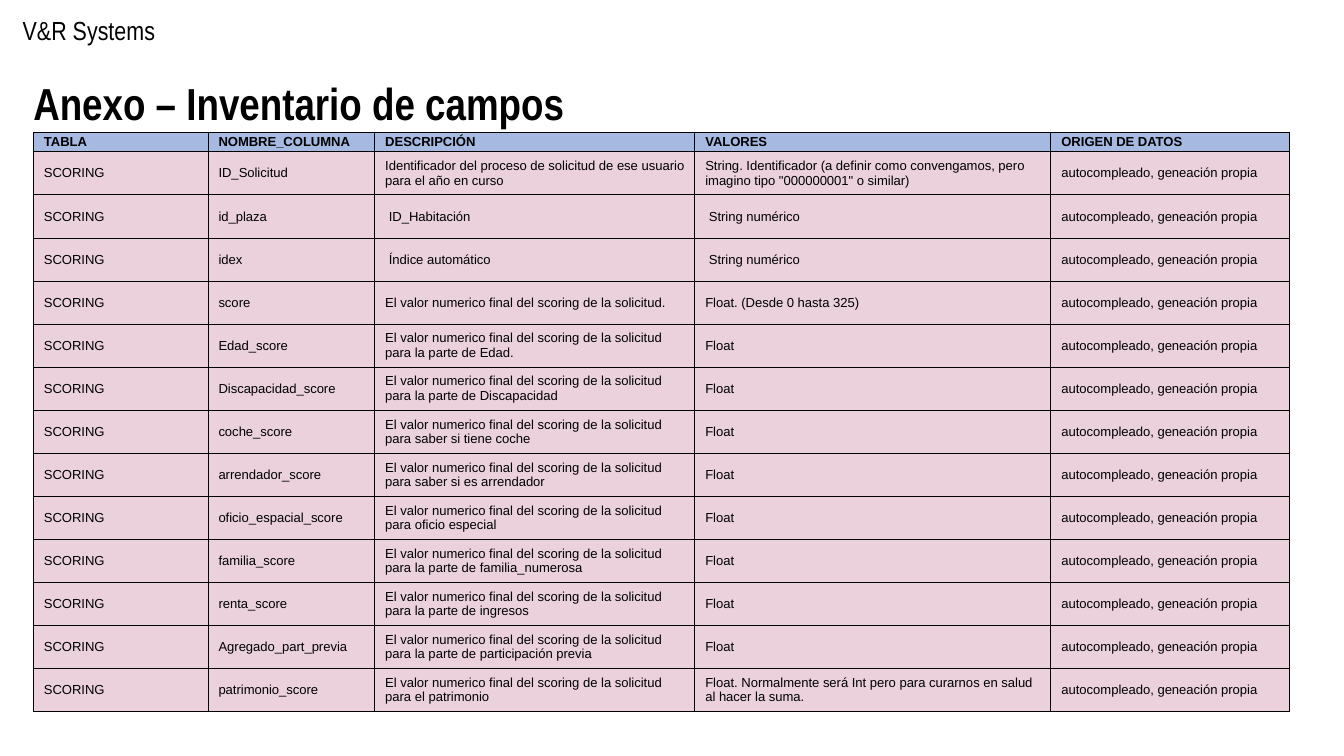
from pptx import Presentation
from pptx.dml.color import RGBColor
from pptx.enum import text as t
from pptx.oxml import parse_xml
from pptx.oxml.ns import nsdecls
from pptx.util import Cm, Pt

HEADINGS = ["TABLA", "NOMBRE_COLUMNA", "DESCRIPCIÓN", "VALORES", "ORIGEN DE DATOS"]
FINAL_SCORE = "El valor numerico final del scoring de la solicitud"
FIELDS = [
    ("ID_Solicitud", "Identificador del proceso de solicitud de ese usuario para el año en curso",
     'String. Identificador (a definir como convengamos, pero imagino tipo "000000001" o similar)'),
    ("id_plaza", " ID_Habitación", " String numérico"),
    ("idex", " Índice automático", " String numérico"),
    ("score", f"{FINAL_SCORE}.", "Float. (Desde 0 hasta 325)"),
    ("Edad_score", f"{FINAL_SCORE} para la parte de Edad.", "Float"),
    ("Discapacidad_score", f"{FINAL_SCORE} para la parte de Discapacidad", "Float"),
    ("coche_score", f"{FINAL_SCORE} para saber si tiene coche", "Float"),
    ("arrendador_score", f"{FINAL_SCORE} para saber si es arrendador", "Float"),
    ("oficio_espacial_score", f"{FINAL_SCORE} para oficio especial", "Float"),
    ("familia_score", f"{FINAL_SCORE} para la parte de familia_numerosa", "Float"),
    ("renta_score", f"{FINAL_SCORE} para la parte de ingresos", "Float"),
    ("Agregado_part_previa", f"{FINAL_SCORE} para la parte de participación previa", "Float"),
    ("patrimonio_score", f"{FINAL_SCORE} para el patrimonio",
     "Float. Normalmente será Int pero para curarnos en salud al hacer la suma."),
]
COLUMN_WIDTHS = [3.3, 3.15, 6.05, 6.73, 4.5]
HEADING_HEIGHT = 0.36


def color(hex_code):
    """Turn a hex string into a colour."""
    return RGBColor.from_string(hex_code)


def style(paragraph, size, face, bold=False):
    """Set the font of a left-aligned black paragraph."""
    paragraph.alignment = t.PP_ALIGN.LEFT
    font = paragraph.font
    font.size, font.name, font.bold = Pt(size), face, bold
    font.color.rgb = color("000000")


def add_brand(slide, left, top, width, height):
    """Place the company name above the title."""
    brand = slide.shapes.add_textbox(Cm(left), Cm(top), Cm(width), Cm(height)).text_frame
    brand.word_wrap = True
    brand.vertical_anchor = t.MSO_ANCHOR.MIDDLE
    brand.text = "V&R Systems"
    style(brand.paragraphs[0], 14, "Arial Narrow")


def place_title(slide, left, top, width, height):
    """Move and fill the title placeholder."""
    title = slide.shapes.title
    title.left, title.top, title.width, title.height = map(Cm, (left, top, width, height))
    frame = title.text_frame
    frame.margin_left = frame.margin_right = frame.margin_top = frame.margin_bottom = Cm(0.25)
    frame.vertical_anchor = t.MSO_ANCHOR.MIDDLE
    frame.auto_size = t.MSO_AUTO_SIZE.NONE
    frame.text = "Anexo – Inventario de campos"
    style(frame.paragraphs[0], 24, "Arial Narrow", bold=True)


def fill_cell(cell, wording, background, bold):
    """Write, border and colour one table cell."""
    cell.text = wording
    cell.vertical_anchor = t.MSO_ANCHOR.MIDDLE
    cell.margin_left = cell.margin_right = Cm(0.2)
    cell.margin_top = cell.margin_bottom = 0
    style(cell.text_frame.paragraphs[0], 7, "Arial", bold)
    properties = cell._tc.get_or_add_tcPr()
    for side in "LRTB":
        properties.append(parse_xml(
            f'<a:ln{side} w="{Pt(0.5)}" {nsdecls("a")}><a:solidFill>'
            f'<a:srgbClr val="000000"/></a:solidFill></a:ln{side}>'))
    cell.fill.solid()
    cell.fill.fore_color.rgb = color(background)


def add_inventory(slide, left, top, width, height):
    """Place the field inventory, with equal rows below the headings."""
    rows = [HEADINGS] + [("SCORING", *field, "autocompleado, geneación propia")
                         for field in FIELDS]
    inventory = slide.shapes.add_table(
        len(rows), len(HEADINGS), Cm(left), Cm(top), Cm(width), Cm(height)).table
    for column, share in zip(inventory.columns, COLUMN_WIDTHS):
        column.width = Cm(width * share / sum(COLUMN_WIDTHS))
    for index, wordings in enumerate(rows):
        heading = index == 0
        inventory.rows[index].height = Cm(
            HEADING_HEIGHT if heading else (height - HEADING_HEIGHT) / len(FIELDS))
        for cell, wording in zip(inventory.rows[index].cells, wordings):
            fill_cell(cell, wording, "A6B9E1" if heading else "EAD1DC", heading)


def main():
    """Build and save the slide."""
    deck = Presentation()
    deck.slide_width, deck.slide_height = Cm(25.4), Cm(14.29)
    slide = deck.slides.add_slide(deck.slide_layouts[5])
    add_brand(slide, 0.18, 0.13, 4.88, 0.86)
    place_title(slide, 0.38, 1.14, 14.58, 1.6)
    add_inventory(slide, 0.63, 2.51, 23.73, 10.95)
    deck.save("out.pptx")


if __name__ == "__main__":
    main()
